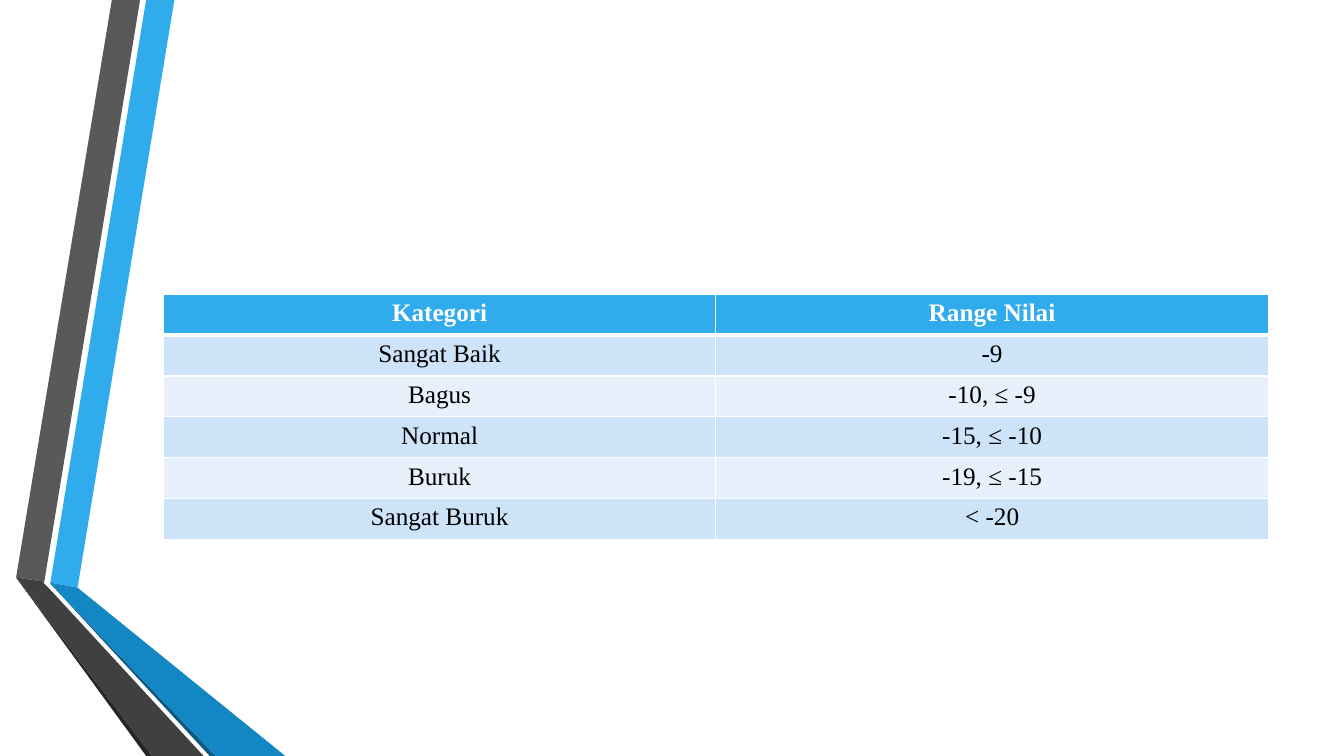
import pptx
import pptx.dml.color
import pptx.enum.text
import pptx.oxml
import pptx.oxml.ns
import pptx.util

Inches = pptx.util.Inches
RGBColor = pptx.dml.color.RGBColor

WHITE = RGBColor(0xFF, 0xFF, 0xFF)
BLACK = RGBColor(0x00, 0x00, 0x00)
BLUE = RGBColor(0x30, 0xAC, 0xEC)
MID_BLUE = RGBColor(0x12, 0x87, 0xC3)
DARK_BLUE = RGBColor(0x0C, 0x5A, 0x82)
GRAY = RGBColor(0x59, 0x59, 0x59)
DARK_GRAY = RGBColor(0x40, 0x40, 0x40)
SHADE_GRAY = RGBColor(0x26, 0x26, 0x26)
BAND_DARK = RGBColor(0xCD, 0xE3, 0xF8)
BAND_LIGHT = RGBColor(0xE8, 0xF1, 0xFB)


def write_text(cell, text, *, color, bold=False, size=18, font="Times New Roman"):
    para = cell.text_frame.paragraphs[0]
    para.alignment = pptx.enum.text.PP_ALIGN.CENTER
    span = para.add_run()
    span.text = text
    span.font.name = font
    span.font.size = pptx.util.Pt(size)
    span.font.bold = bold
    span.font.color.rgb = color


def set_borders(cell, widths):
    """Draw white cell borders; widths maps L, R, T, B to points."""
    properties = cell._tc.get_or_add_tcPr()
    for index, (side, points) in enumerate(widths.items()):
        line = pptx.oxml.parse_xml(
            f'<a:ln{side} {pptx.oxml.ns.nsdecls("a")} w="{pptx.util.Pt(points)}">'
            f'<a:solidFill><a:srgbClr val="{WHITE}"/></a:solidFill></a:ln{side}>'
        )
        properties.insert(index, line)


deck = pptx.Presentation()
deck.slide_width = Inches(13.33)
deck.slide_height = Inches(7.5)
page = deck.slides.add_slide(deck.slide_layouts[6])

# Folded ribbons along the left edge
ribbons = [
    (BLUE, [(0.5, 5.78), (0.77, 5.83), (1.73, 0), (1.45, 0)]),
    (GRAY, [(1.39, 0), (1.11, 0), (0.16, 5.73), (0.44, 5.77)]),
    (SHADE_GRAY, [(0.16, 5.73), (1.45, 7.5), (1.51, 7.5)]),
    (DARK_BLUE, [(0.5, 5.79), (2.08, 7.5), (2.14, 7.5)]),
    (MID_BLUE, [(0.5, 5.79), (2.14, 7.5), (2.83, 7.5), (0.77, 5.83), (0.5, 5.78)]),
    (DARK_GRAY, [(2.02, 7.5), (0.48, 5.83), (0.43, 5.78), (0.44, 5.77),
                 (0.16, 5.73), (1.51, 7.5)]),
]
for color, corners in ribbons:
    points = [(Inches(x), Inches(y)) for x, y in corners]
    builder = page.shapes.build_freeform(*points[0])
    builder.add_line_segments(points[1:], close=True)
    ribbon = builder.convert_to_shape()
    ribbon.shadow.inherit = False
    ribbon.fill.solid()
    ribbon.fill.fore_color.rgb = color
    ribbon.line.fill.background()

# Table of categories and value ranges
rows = [
    ("Kategori", "Range Nilai"),
    ("Sangat Baik", "-9"),
    ("Bagus", "-10, ≤ -9"),
    ("Normal", "-15, ≤ -10"),
    ("Buruk", "-19, ≤ -15"),
    ("Sangat Buruk", "< -20"),
]
table = page.shapes.add_table(
    len(rows), 2, Inches(1.62), Inches(2.92), Inches(10.96), Inches(2.43)
).table
for row_index, texts in enumerate(rows):
    header = row_index == 0
    band = BAND_DARK if row_index % 2 else BAND_LIGHT
    for column_index, text in enumerate(texts):
        cell = table.cell(row_index, column_index)
        cell.fill.solid()
        cell.fill.fore_color.rgb = BLUE if header else band
        top = 3 if row_index == 1 else 1
        set_borders(cell, {"L": 1, "R": 1, "T": top, "B": 3 if header else 1})
        write_text(cell, text, color=WHITE if header else BLACK, bold=header)

deck.save("out.pptx")
